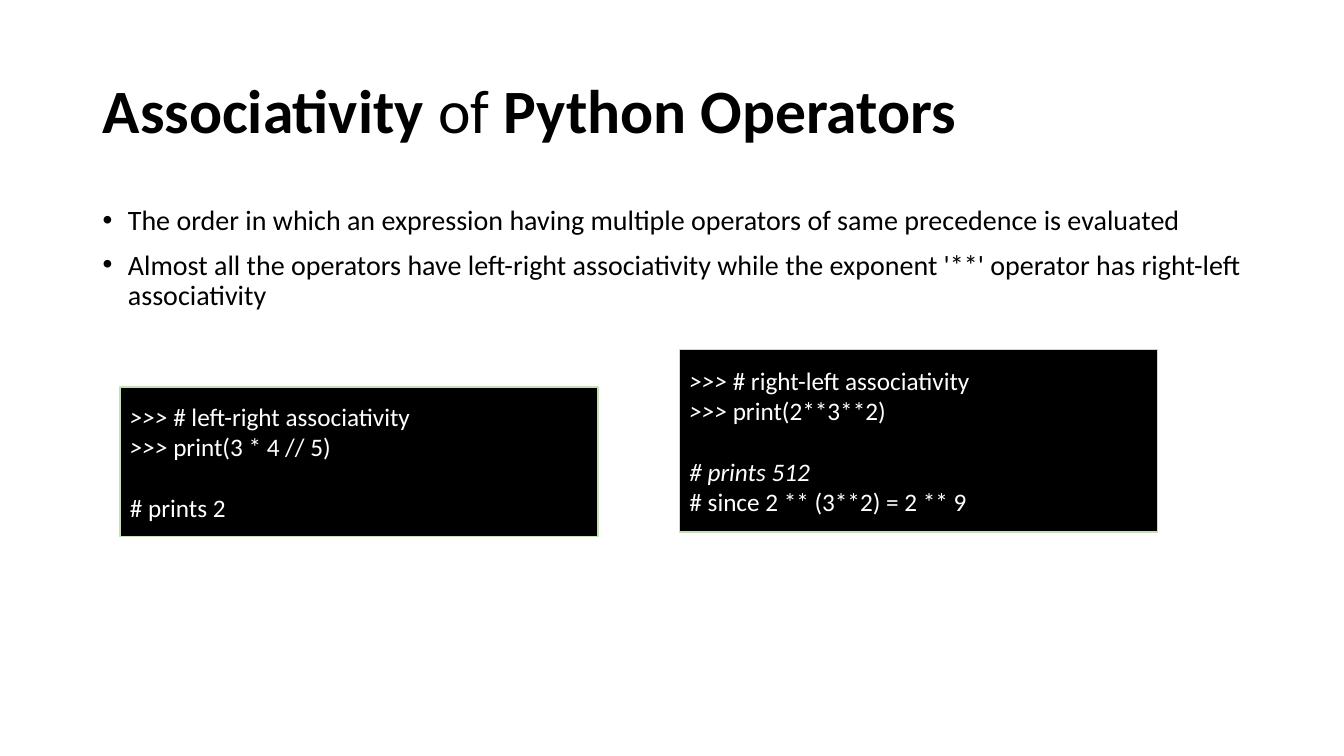
import pptx
import pptx.util
import pptx.dml.color
import pptx.enum.shapes
import pptx.enum.text
import pptx.oxml.ns
import lxml.etree

INKS = {"black": "000000", "white": "FFFFFF", "green": "C5E0B4"}
ANCHOR = pptx.enum.text.MSO_ANCHOR


class Page:
    font = "Calibri"

    def __init__(self, deck):
        self.wide, self.high = deck.slide_width, deck.slide_height
        self.slide = deck.slides.add_slide(deck.slide_layouts[5])

    def ink(self, name):
        return pptx.dml.color.RGBColor.from_string(INKS[name])

    def place(self, left, top, width, height):
        return [
            round(part * side / 100)
            for part, side in zip(
                (left, top, width, height), (self.wide, self.high) * 2
            )
        ]

    def frame(self, shape, anchor):
        frame = shape.text_frame
        frame.word_wrap = True
        frame.auto_size = pptx.enum.text.MSO_AUTO_SIZE.NONE
        frame.vertical_anchor = anchor
        return frame

    def fill(self, frame, lines, size, ink, space=None):
        for row, runs in enumerate(lines):
            para = frame.add_paragraph() if row else frame.paragraphs[0]
            para.alignment = pptx.enum.text.PP_ALIGN.LEFT
            para.line_spacing = space
            for text, style in runs:
                run = para.add_run()
                run.text = text
                run.font.name = self.font
                run.font.size = pptx.util.Pt(size)
                run.font.color.rgb = self.ink(ink)
                run.font.bold = style == "bold"
                run.font.italic = style == "italic"

    def title(self, spot, runs):
        shape = self.slide.shapes.title
        shape.left, shape.top, shape.width, shape.height = self.place(*spot)
        self.fill(self.frame(shape, ANCHOR.MIDDLE), [runs], 44, "black", 0.9)

    def bullets(self, spot, items):
        shape = self.slide.shapes.add_textbox(*self.place(*spot))
        frame = self.frame(shape, ANCHOR.TOP)
        self.fill(frame, [[(item, "")] for item in items], 20, "black", 0.9)
        indent = pptx.util.Inches(0.25)
        for para in frame.paragraphs:
            para.space_before = pptx.util.Pt(10)
            props = para._p.get_or_add_pPr()
            props.set("marL", str(indent))
            props.set("indent", str(-indent))
            for tag, key, value in (
                ("a:buFont", "typeface", "Arial"),
                ("a:buChar", "char", "•"),
            ):
                mark = lxml.etree.SubElement(props, pptx.oxml.ns.qn(tag))
                mark.set(key, value)

    def code(self, spot, calls, notes):
        shape = self.slide.shapes.add_shape(
            pptx.enum.shapes.MSO_SHAPE.RECTANGLE, *self.place(*spot)
        )
        shape.shadow.inherit = False
        shape.fill.solid()
        shape.fill.fore_color.rgb = self.ink("black")
        shape.line.color.rgb = self.ink("green")
        shape.line.width = pptx.util.Pt(1)
        frame = self.frame(shape, ANCHOR.MIDDLE)
        lines = [[(">>> ", "italic"), (call, "")] for call in calls]
        self.fill(frame, lines + [[note] for note in notes], 18, "white")
        frame.paragraphs[len(calls)].space_before = pptx.util.Pt(22)


def main():
    deck = pptx.Presentation()
    deck.slide_width = pptx.util.Inches(13.33)
    deck.slide_height = pptx.util.Inches(7.5)
    page = Page(deck)
    page.title(
        (6.9, 5.33, 86.25, 19.33),
        [("Associativity", "bold"), (" of ", ""), ("Python Operators", "bold")],
    )
    page.bullets(
        (6.9, 26.67, 86.25, 63.47),
        [
            "The order in which an expression having multiple operators "
            "of same precedence is evaluated",
            "Almost all the operators have left-right associativity while "
            "the exponent '**' operator has right-left associativity",
        ],
    )
    page.code(
        (8.93, 51.2, 35.56, 19.73),
        ["# left-right associativity", "print(3 * 4 // 5)"],
        [("# prints 2", "")],
    )
    page.code(
        (50.56, 46.27, 35.56, 24.13),
        ["# right-left associativity", "print(2**3**2)"],
        [("# prints 512", "italic"), ("# since 2 ** (3**2) = 2 ** 9", "")],
    )
    deck.save("out.pptx")


if __name__ == "__main__":
    main()
